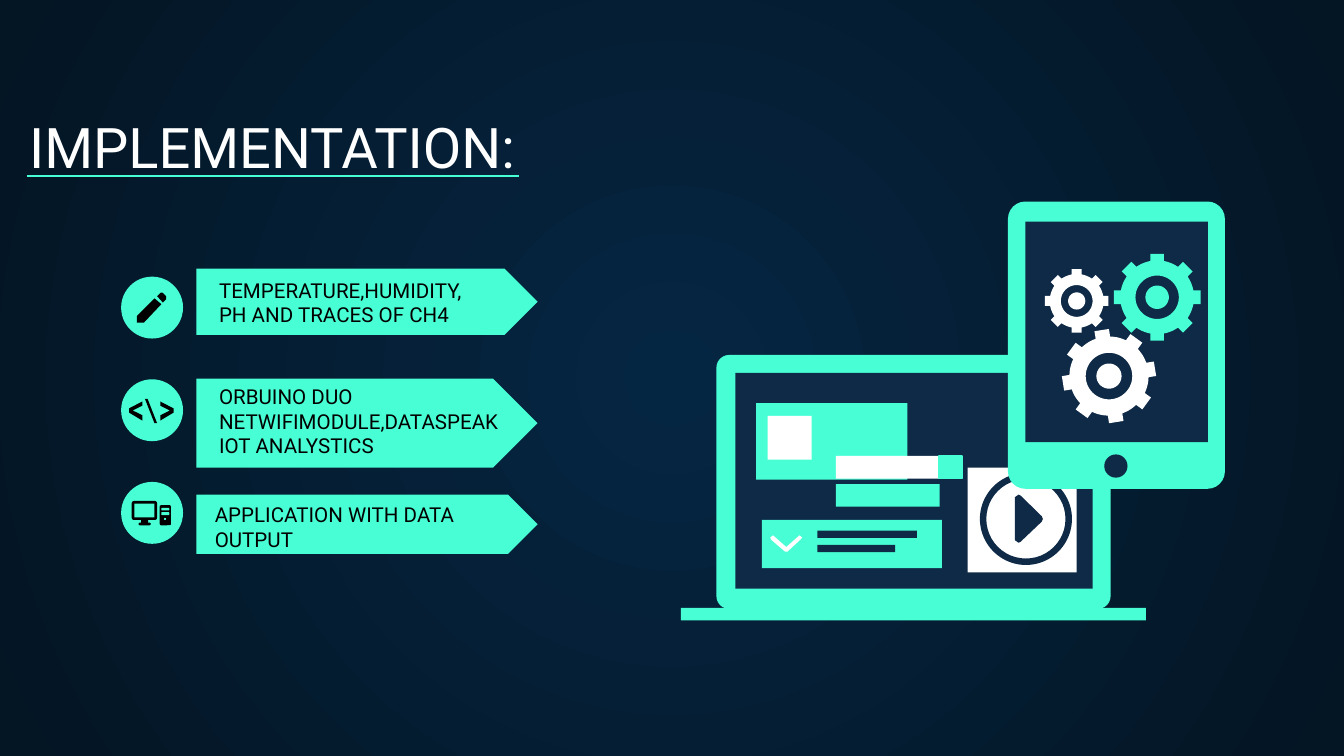
from dataclasses import dataclass
from math import asin, atan2, cos, hypot, pi, radians, sin
from typing import Optional

from lxml.etree import SubElement
from pptx import Presentation
from pptx.dml.color import RGBColor
from pptx.enum.shapes import MSO_CONNECTOR, MSO_SHAPE
from pptx.enum.text import MSO_ANCHOR, PP_ALIGN
from pptx.oxml.ns import qn
from pptx.util import Cm, Pt

AQUA = RGBColor(0x48, 0xFF, 0xD5)
NAVY = RGBColor(0x0E, 0x2A, 0x47)
WHITE = RGBColor(0xFF, 0xFF, 0xFF)
BLACK = RGBColor(0x00, 0x00, 0x00)
GLOW = RGBColor(0x05, 0x26, 0x43)
EDGE = RGBColor(0x04, 0x15, 0x23)

RECT, ROUND = MSO_SHAPE.RECTANGLE, MSO_SHAPE.ROUNDED_RECTANGLE
OVAL, DONUT = MSO_SHAPE.OVAL, MSO_SHAPE.DONUT
Points = list[tuple[float, float]]


@dataclass
class Box:
    left: float
    top: float
    width: float
    height: float
    color: RGBColor = AQUA
    kind: MSO_SHAPE = RECT
    adj: Optional[float] = None
    outlined: bool = False


@dataclass
class Step:
    arrow: Box
    text: str
    text_left: float
    text_top: float
    text_width: float
    text_height: float


@dataclass
class Gear:
    x: float
    y: float
    radius: float
    color: RGBColor
    turn: float = 0


STEPS = [
    Step(Box(3.71, 5.08, 6.45, 1.25), "TEMPERATURE,HUMIDITY,\nPH AND TRACES OF CH4",
         3.89, 4.98, 6.22, 1.45),
    Step(Box(3.71, 7.16, 6.45, 1.68), "ORBUINO DUO NETWIFIMODULE,DATASPEAK IOT ANALYSTICS",
         3.89, 6.93, 6.22, 1.98),
    Step(Box(3.71, 9.35, 6.45, 1.12), "APPLICATION WITH DATA OUTPUT",
         3.81, 9.22, 5.54, 1.45),
]
COMPUTER = [
    Box(2.49, 9.47, 0.48, 0.36, BLACK, ROUND, 0.13),
    Box(2.54, 9.52, 0.38, 0.26),
    Box(2.67, 9.83, 0.13, 0.06, BLACK),
    Box(2.62, 9.88, 0.23, 0.05, BLACK, ROUND, 0.5),
    Box(3.02, 9.55, 0.21, 0.38, BLACK, ROUND, 0.12),
    Box(3.05, 9.6, 0.15, 0.05, AQUA, ROUND, 0.3),
    Box(3.05, 9.68, 0.15, 0.06, AQUA, ROUND, 0.3),
    Box(3.1, 9.79, 0.04, 0.04, AQUA, OVAL),
]
LAPTOP = [
    Box(13.54, 6.71, 7.45, 4.8, AQUA, ROUND, 0.05),
    Box(13.9, 7.05, 6.75, 4.08, NAVY),
    Box(12.87, 11.49, 8.79, 0.24),
    Box(14.29, 7.62, 2.86, 1.45),
    Box(14.51, 7.86, 0.83, 0.83, WHITE),
    Box(14.4, 9.83, 3.4, 0.91),
    Box(15.45, 10.03, 1.88, 0.14, NAVY),
    Box(15.45, 10.3, 1.47, 0.14, NAVY),
    Box(15.8, 9.15, 1.96, 0.43),
    Box(15.8, 8.62, 1.96, 0.43, WHITE),
    Box(17.75, 8.62, 0.43, 0.43, outlined=True),
    Box(18.29, 8.84, 2.06, 1.98, WHITE),
    Box(18.52, 8.94, 1.74, 1.74, NAVY, DONUT, 0.07),
]
TABLET = [
    Box(19.05, 3.81, 4.1, 5.43, AQUA, ROUND, 0.08),
    Box(19.38, 4.19, 3.45, 4.17, NAVY),
    Box(20.87, 8.59, 0.44, 0.44, NAVY, OVAL),
]
GEARS = [
    Gear(21.87, 5.62, 0.82, AQUA),
    Gear(20.35, 5.69, 0.6, WHITE),
    Gear(20.96, 7.11, 0.88, WHITE, -9),
]
PENCIL = [
    [(3.04, 5.53), (2.97, 5.6), (3.08, 5.72), (3.14, 5.66), (3.14, 5.6), (3.07, 5.53)],
    [(2.92, 5.64), (2.59, 5.97), (2.59, 6.1), (2.72, 6.1), (3.05, 5.75)],
]
BRACKET = [(2.69, 7.95), (2.44, 7.8), (2.44, 7.72), (2.69, 7.59),
           (2.69, 7.67), (2.51, 7.76), (2.69, 7.85)]
SLASH = [(2.92, 8), (2.74, 7.54), (2.79, 7.54), (2.97, 8)]
CODE_CENTER = 2.86
CHEVRON = [(14.56, 10.16), (14.61, 10.12), (14.86, 10.34), (15.11, 10.12), (15.16, 10.16),
           (15.13, 10.2), (14.88, 10.43), (14.84, 10.43), (14.57, 10.2)]
PLAY = [(19.18, 9.4), (19.25, 9.35), (19.29, 9.37), (19.69, 9.76), (19.71, 9.81),
        (19.69, 9.86), (19.29, 10.24), (19.25, 10.26), (19.18, 10.21)]


def paint(sp, color: RGBColor, outlined: bool = False) -> None:
    sp.shadow.inherit = False
    sp.fill.solid()
    sp.fill.fore_color.rgb = color
    if outlined:
        sp.line.color.rgb = color
        sp.line.width = Pt(0.75)
    else:
        sp.line.fill.background()


def draw_box(s, box: Box) -> None:
    sp = s.shapes.add_shape(box.kind, Cm(box.left), Cm(box.top), Cm(box.width), Cm(box.height))
    if box.adj is not None:
        sp.adjustments[0] = box.adj
    paint(sp, box.color, box.outlined)


def draw_outline(s, contours: list[Points], color: RGBColor) -> None:
    first, *rest = [[(Cm(x), Cm(y)) for x, y in c] for c in contours]
    builder = s.shapes.build_freeform(*first[0])
    builder.add_line_segments(first[1:], close=True)
    for c in rest:
        builder.move_to(*c[0])
        builder.add_line_segments(c[1:], close=True)
    paint(builder.convert_to_shape(), color)


def circle(x: float, y: float, radius: float, count: int = 48) -> Points:
    return [(x + radius * cos(2 * pi * i / count), y + radius * sin(2 * pi * i / count))
            for i in range(count)]


def draw_gear(s, gear: Gear, teeth: int = 8, arc: int = 5) -> None:
    body, half = 0.85 * gear.radius, 0.157 * gear.radius
    pitch, root = 2 * pi / teeth, asin(half / body)
    tip, reach = atan2(half, gear.radius), hypot(half, gear.radius)
    rim: Points = []
    for i in range(teeth):
        a = radians(gear.turn) + i * pitch
        polar = [(a - tip, reach), (a + tip, reach)]
        polar += [(a + root + (pitch - 2 * root) * j / arc, body) for j in range(arc + 1)]
        rim += [(gear.x + d * cos(t), gear.y + d * sin(t)) for t, d in polar]
    holes = [circle(gear.x, gear.y, k * gear.radius) for k in (0.5, 0.27)]
    draw_outline(s, [rim, *holes], gear.color)


def write(sp, text: str, *, size: float, color: RGBColor, font: str = "Roboto") -> None:
    tf = sp.text_frame
    tf.text = text
    tf.word_wrap = True
    tf.vertical_anchor = MSO_ANCHOR.BOTTOM
    tf.margin_left = tf.margin_right = tf.margin_top = tf.margin_bottom = Cm(0.25)
    for p in tf.paragraphs:
        p.alignment = PP_ALIGN.LEFT
        for r in p.runs:
            r.font.name = font
            r.font.size = Pt(size)
            r.font.color.rgb = color


def set_background(s) -> None:
    fill = s.background.fill
    fill.gradient()
    for stop, color in zip(fill.gradient_stops, (GLOW, EDGE)):
        stop.color.rgb = color
    grad = s.element.find(".//" + qn("a:gradFill"))
    grad.remove(grad.find(qn("a:lin")))
    radial = SubElement(grad, qn("a:path"))
    radial.set("path", "circle")
    center = SubElement(radial, qn("a:fillToRect"))
    for side in "ltrb":
        center.set(side, "50000")


def draw_title(s) -> None:
    sp = s.shapes.title
    sp.left, sp.top, sp.width, sp.height = Cm(0.3), Cm(2.08), Cm(21.36), Cm(1.57)
    write(sp, "IMPLEMENTATION:", size=30, color=WHITE)
    rule = s.shapes.add_connector(MSO_CONNECTOR.STRAIGHT, Cm(0.51), Cm(3.33), Cm(9.8), Cm(3.33))
    rule.line.color.rgb = AQUA
    rule.line.width = Pt(0.75)
    SubElement(rule.element.spPr, qn("a:effectLst"))


def draw_steps(s) -> None:
    for i, step in enumerate(STEPS):
        step.arrow.kind = MSO_SHAPE.PENTAGON
        draw_box(s, step.arrow)
        draw_box(s, Box(2.29, 5.23 + 1.94 * i, 1.17, 1.17, kind=OVAL))
        sp = s.shapes.add_textbox(Cm(step.text_left), Cm(step.text_top),
                                  Cm(step.text_width), Cm(step.text_height))
        write(sp, step.text, size=11, color=BLACK)
    draw_outline(s, PENCIL, BLACK)
    mirrored = [(2 * CODE_CENTER - x, y) for x, y in BRACKET]
    for part in (BRACKET, SLASH, mirrored):
        draw_outline(s, [part], BLACK)
    for box in COMPUTER:
        draw_box(s, box)


def draw_devices(s) -> None:
    for box in LAPTOP:
        draw_box(s, box)
    draw_outline(s, [CHEVRON], WHITE)
    draw_outline(s, [PLAY], NAVY)
    for box in TABLET:
        draw_box(s, box)
    for gear in GEARS:
        draw_gear(s, gear)


def main() -> None:
    prs = Presentation()
    prs.slide_width, prs.slide_height = Cm(25.4), Cm(14.29)
    s = prs.slides.add_slide(prs.slide_layouts[5])
    set_background(s)
    draw_title(s)
    draw_steps(s)
    draw_devices(s)
    prs.save("out.pptx")


if __name__ == "__main__":
    main()
